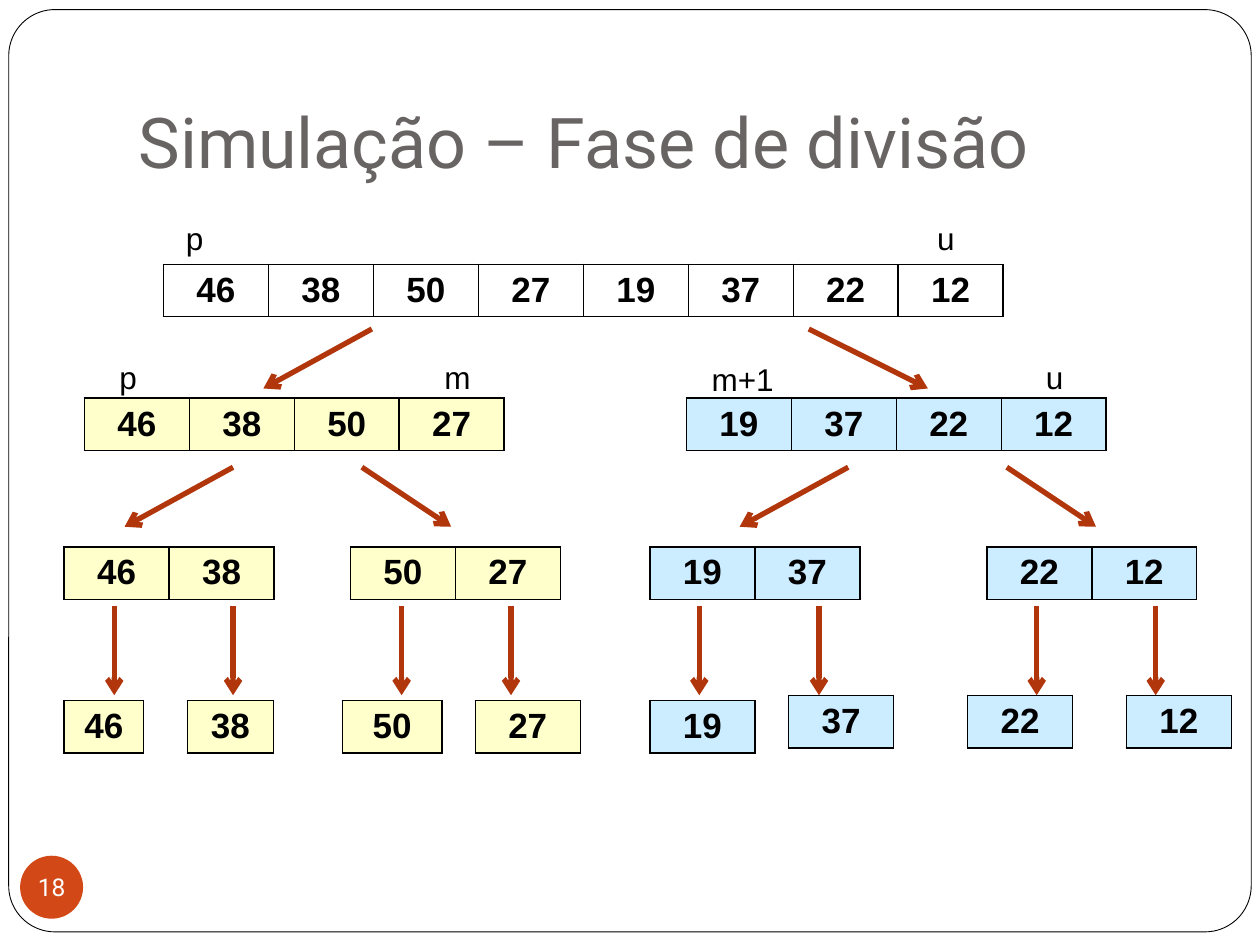
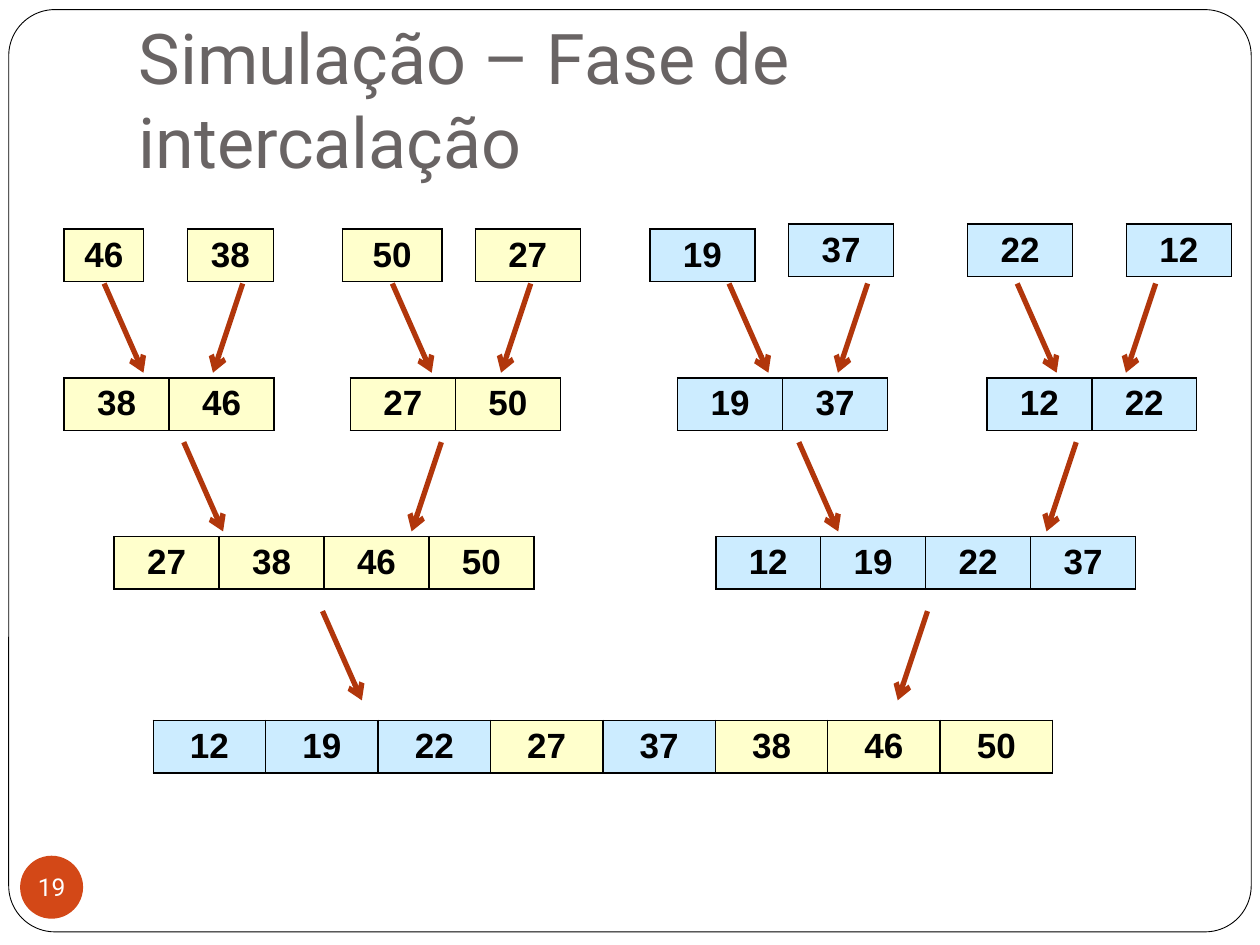
from dataclasses import dataclass
from itertools import cycle

from lxml.etree import SubElement
from pptx import Presentation
from pptx.dml.color import RGBColor as RGB
from pptx.enum.shapes import MSO_CONNECTOR as CONNECTOR, MSO_SHAPE as SHAPE
from pptx.enum.text import MSO_ANCHOR as ANCHOR, MSO_AUTO_SIZE as AUTOSIZE, PP_ALIGN as ALIGN
from pptx.oxml import parse_xml
from pptx.oxml.ns import nsdecls, qn
from pptx.util import Pt


@dataclass(frozen=True)
class Theme:
    ink: RGB = RGB.from_string("000000")
    paper: RGB = RGB.from_string("FFFFFF")
    title: RGB = RGB.from_string("696464")
    badge: RGB = RGB.from_string("D34817")
    arrow: RGB = RGB.from_string("B1360B")
    left: RGB = RGB.from_string("FFFFCC")
    right: RGB = RGB.from_string("CCECFF")
    heading: str = "Roboto"
    body: str = "Arial"
    title_size: int = 40
    cell_size: int = 20
    label_size: int = 18
    badge_size: int = 14


T = Theme()
CELL_W, CELL_H = 60, 30
STEP = 51
LEAVES = [
    (46, 36.7, 45.4, 0, T.left), (38, 107.2, 49, 0, T.left),
    (50, 195.6, 57, 0, T.left), (27, 271.6, 60, 0, T.left),
    (19, 371.4, 60, 0, T.right), (37, 450.6, 60, -2.9, T.right),
    (22, 552.9, 60, -2.9, T.right), (12, 643.6, 60, -2.9, T.right),
]


def set_attrs(target, values):
    for name, value in values.items():
        setattr(target, name, value)


def write(tf, text, size, color, font=T.body, bold=False, align=ALIGN.LEFT):
    p = tf.paragraphs[0]
    p.alignment = align
    r = p.add_run()
    r.text = text
    set_attrs(r.font, {"name": font, "size": Pt(size), "bold": bold})
    r.font.color.rgb = color


def place(sp, left, top, width, height):
    set_attrs(sp, {"left": Pt(left), "top": Pt(top),
                   "width": Pt(width), "height": Pt(height)})


def set_margins(tf, left, top, right, bottom):
    set_attrs(tf, {"margin_left": Pt(left), "margin_top": Pt(top),
                   "margin_right": Pt(right), "margin_bottom": Pt(bottom)})


def add_preset(s, kind, box, fill):
    sp = s.shapes.add_shape(kind, *map(Pt, box))
    sp.shadow.inherit = False
    sp.fill.solid()
    sp.fill.fore_color.rgb = fill
    return sp


def add_frame(s):
    sp = add_preset(s, SHAPE.ROUNDED_RECTANGLE, (5, 5.5, 710, 527), T.paper)
    sp.adjustments[0] = 0.05
    sp.line.color.rgb = T.ink
    sp.line.width = Pt(0.5)
    s.shapes._spTree.insert(2, sp._element)


def add_badge(s, number):
    sp = add_preset(s, SHAPE.OVAL, (11.5, 489, 36, 36), T.badge)
    sp.line.fill.background()
    tf = sp.text_frame
    set_attrs(tf, {"word_wrap": False, "vertical_anchor": ANCHOR.MIDDLE})
    set_margins(tf, 0, 0, 0, 0)
    write(tf, str(number), T.badge_size, T.paper, T.heading, align=ALIGN.CENTER)


def add_title_slide(prs, title, number):
    s = prs.slides.add_slide(prs.slide_layouts[5])
    add_frame(s)
    sp = s.shapes.title
    place(sp, 72, 21.6, 612, 90)
    tf = sp.text_frame
    set_attrs(tf, {"word_wrap": True, "auto_size": AUTOSIZE.NONE,
                   "vertical_anchor": ANCHOR.BOTTOM})
    set_margins(tf, 7.2, 3.6, 7.2, 7.2)
    write(tf, title, T.title_size, T.title, T.heading)
    add_badge(s, number)
    return s


def add_borders(cell):
    props = cell._tc.get_or_add_tcPr()
    for index, side in enumerate(("lnL", "lnR", "lnT", "lnB")):
        props.insert(index, parse_xml(
            f'<a:{side} {nsdecls("a")} w="{Pt(1)}"><a:solidFill>'
            f'<a:srgbClr val="{T.ink}"/></a:solidFill></a:{side}>'))


def add_array(s, values, left, top, fills, cell_w=CELL_W):
    shape = s.shapes.add_table(1, len(values), Pt(left), Pt(top),
                               Pt(cell_w * len(values)), Pt(CELL_H))
    table = shape.table
    set_attrs(table, {"first_row": False, "horz_banding": False})
    for column, cell, value, fill in zip(table.columns, table.rows[0].cells,
                                         values, cycle(fills)):
        column.width = Pt(cell_w)
        if fill is None:
            cell.fill.background()
        else:
            cell.fill.solid()
            cell.fill.fore_color.rgb = fill
        add_borders(cell)
        write(cell.text_frame, str(value), T.cell_size, T.ink, bold=True,
              align=ALIGN.CENTER)


def add_leaves(s, top):
    for value, left, width, shift, fill in LEAVES:
        add_array(s, [value], left, top + shift, [fill], width)


def add_arrow(s, x, y, dx, dy):
    line = s.shapes.add_connector(CONNECTOR.STRAIGHT, Pt(x), Pt(y),
                                  Pt(x + dx), Pt(y + dy))
    line.line.color.rgb = T.arrow
    line.line.width = Pt(3)
    SubElement(line.line._get_or_add_ln(), qn("a:tailEnd"), type="arrow")
    SubElement(line._element.spPr, qn("a:effectLst"))


def add_label(s, text, left, top, width):
    sp = s.shapes.add_textbox(Pt(left), Pt(top), Pt(width), Pt(29))
    set_attrs(sp.text_frame, {"word_wrap": False,
                              "auto_size": AUTOSIZE.SHAPE_TO_FIT_TEXT})
    write(sp.text_frame, text, T.label_size, T.ink)


def build_division(prs):
    s = add_title_slide(prs, "Simulação – Fase de divisão", 18)
    values = [leaf[0] for leaf in LEAVES]
    add_array(s, values, 93.4, 151, [None])
    for half, left, fill in ((values[:4], 48.2, T.left),
                             (values[4:], 392.2, T.right)):
        add_array(s, half, left, 227.5, [fill])
    for index, left in enumerate((36.7, 200.2, 371.4, 563.9)):
        fill = T.left if index < 2 else T.right
        add_array(s, values[2 * index:2 * index + 2], left, 312.5, [fill])
    add_leaves(s, 400.3)
    for x, y, dx in ((212.5, 188, -62), (462.2, 188, 68),
                     (133.2, 267, -62), (206.8, 267, 51),
                     (484.7, 267, -62), (575.3, 267, 51)):
        add_arrow(s, x, y, dx, 34)
    for x in (65.3, 133.2, 229.5, 292, 399.6, 468, 592.4, 660.4):
        add_arrow(s, x, 346.3, 0, STEP)
    for text, left, top, width in (
            ("p", 99.2, 121.7, 24.5), ("u", 528.4, 121.7, 24.5),
            ("p", 61.2, 201, 24.5), ("m", 246.8, 201, 29.5),
            ("m+1", 399.6, 202.2, 50.5), ("u", 590.6, 201, 24.5)):
        add_label(s, text, left, top, width)


def build_merge(prs):
    s = add_title_slide(prs, "Simulação – Fase de intercalação", 19)
    add_leaves(s, 131)
    for values, left, top, fill in (
            ((38, 46), 36.7, 216, T.left), ((27, 50), 200.2, 216, T.left),
            ((19, 37), 387.2, 216, T.right), ((12, 22), 563.9, 216, T.right),
            ((27, 38, 46, 50), 65.2, 306.7, T.left),
            ((12, 19, 22, 37), 409, 306.7, T.right)):
        add_array(s, values, left, top, [fill])
    merged = (12, 19, 22, 27, 37, 38, 46, 50)
    left_half = {leaf[0] for leaf in LEAVES[:4]}
    fills = [T.left if value in left_half else T.right for value in merged]
    add_array(s, merged, 87.6, 411.7, fills, 64.25)
    for y, starts in (
            (162, (59.5, 138.7, 224.2, 303.3, 416.6, 495.8, 581.3, 660.4)),
            (252.7, (105, 252.2, 456.5, 615)),
            (349.2, (184.3, 530))):
        for x, dx in zip(starts, cycle((22.5, -17))):
            add_arrow(s, x, y, dx, STEP)


def main():
    prs = Presentation()
    set_attrs(prs, {"slide_width": Pt(720), "slide_height": Pt(540)})
    build_division(prs)
    build_merge(prs)
    prs.save("out.pptx")


if __name__ == "__main__":
    main()
